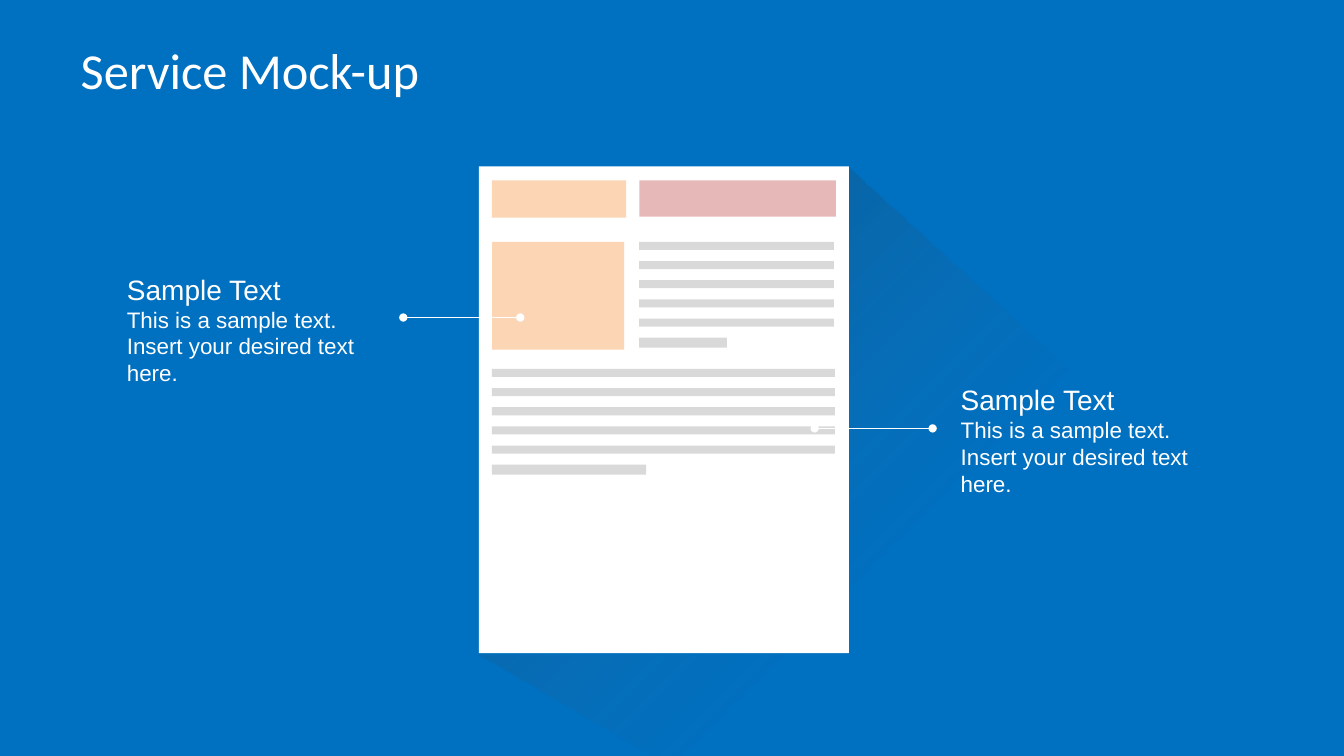
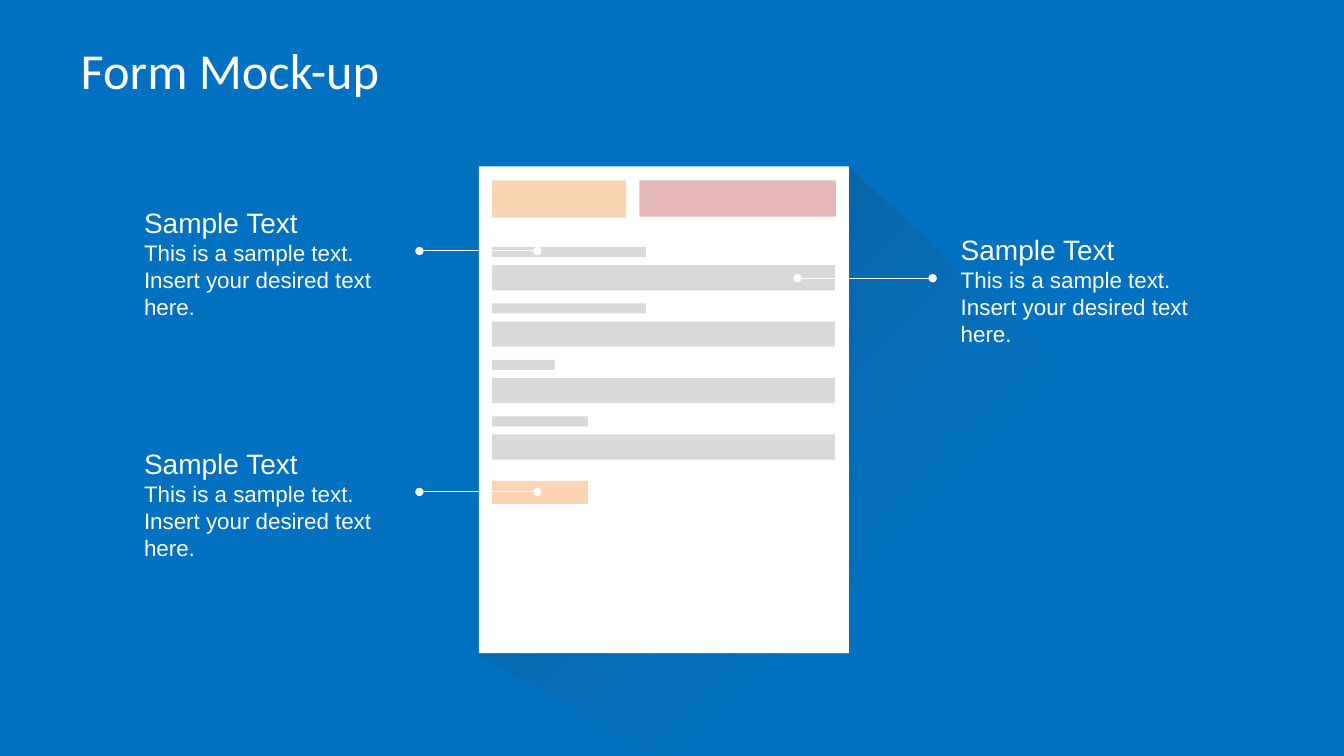
from pptx import Presentation
from pptx import util as u
from pptx.dml.color import RGBColor
from pptx.enum import shapes, text
from pptx.oxml import parse_xml
from pptx.oxml.ns import nsdecls, qn

inch = u.Inches
HUES = {"back": "0070C0", "white": "FFFFFF", "peach": "FCD5B5",
        "pink": "E6B9B8", "grey": "D9D9D9", "dark": "000000", "fade": "6B6B6B"}
SHADE = f"""<a:gradFill {nsdecls('a')} rotWithShape="1"><a:gsLst>
<a:gs pos="0"><a:srgbClr val="{HUES['dark']}"><a:alpha val="30000"/></a:srgbClr></a:gs>
<a:gs pos="59000"><a:srgbClr val="{HUES['fade']}"><a:alpha val="0"/></a:srgbClr></a:gs>
</a:gsLst><a:lin ang="2700000" scaled="0"/></a:gradFill>"""
LEFT, MID, TOP, LOW = 4.88, 6.34, 1.65, 6.48
WIDE = 3.4
WORDS = ["Sample Text", "This is a sample text.", "Insert your desired text here."]


def bar(slide, hue, x, y, w, h):
    box = slide.shapes.add_shape(shapes.MSO_SHAPE.RECTANGLE, inch(x), inch(y), inch(w), inch(h))
    box.shadow.inherit = False
    box.fill.solid()
    box.fill.fore_color.rgb = RGBColor.from_string(HUES[hue])
    box.line.fill.background()


def style(para, face, size):
    para.alignment = text.PP_ALIGN.LEFT
    for run in para.runs:
        run.font.name = face
        run.font.size = u.Pt(size)
        run.font.color.rgb = RGBColor.from_string(HUES["white"])


story = [("peach", LEFT, 2.4, 1.31, 1.07)]
for x, y, full, last in [(LEFT, 3.66, WIDE, 1.53), (MID, 2.4, 1.93, 0.87)]:
    for i in range(6):
        w, h = (full, 0.08) if i < 5 else (last, 0.1)
        story.append(("grey", x, y + 0.19 * i, w, h))

form = [("peach", LEFT, 4.77, 0.95, 0.23)]
for i, w in enumerate([1.53, 1.53, 0.62, 0.95]):
    y = 2.45 + 0.56 * i
    form += [("grey", LEFT, y, w, 0.1), ("grey", LEFT, y + 0.18, WIDE, 0.25)]

pages = [
    ("Service Mock-up", story, [(1.16, 2.65, 5.16, 4), (9.43, 3.75, 9.25, 8.08)]),
    ("Form Mock-up", form, [(1.33, 4.38, 5.33, 4.16), (9.43, 2.26, 9.25, 7.91),
                            (1.33, 1.99, 5.33, 4.16)]),
]

prs = Presentation()
prs.slide_width, prs.slide_height = inch(13.33), inch(7.5)
ground = prs.slide_master.background.fill
ground.solid()
ground.fore_color.rgb = RGBColor.from_string(HUES["back"])

for name, bars, notes in pages:
    slide = prs.slides.add_slide(prs.slide_layouts[5])
    title = slide.shapes.title
    title.left, title.top, title.width, title.height = map(inch, (0.67, 0.3, 12, 0.78))
    frame = title.text_frame
    frame.text = name
    frame.vertical_anchor = text.MSO_ANCHOR.MIDDLE
    frame.margin_left = frame.margin_right = inch(0.13)
    frame.margin_top = frame.margin_bottom = inch(0.07)
    style(frame.paragraphs[0], "Calibri", 36)

    path = slide.shapes.build_freeform(inch(4.75), inch(LOW))
    path.add_line_segments([(inch(x), inch(y)) for x, y in [
        (6.97, 7.78), (11.05, 7.64), (12.02, 4.95), (8.41, TOP), (8.41, LOW)]])
    shade = path.convert_to_shape()
    shade.shadow.inherit = False
    shade.line.fill.background()
    shade.fill.background()
    props = shade._element.spPr
    props.replace(props.find(qn("a:noFill")), parse_xml(SHADE))

    bar(slide, "white", 4.75, TOP, 3.67, LOW - TOP)
    bar(slide, "peach", LEFT, 1.79, 1.33, 0.37)
    bar(slide, "pink", MID, 1.79, 1.95, 0.36)
    for item in bars:
        bar(slide, *item)

    for x, y, start, end in notes:
        note = slide.shapes.add_textbox(inch(x), inch(y), inch(2.71), inch(1.25))
        frame = note.text_frame
        frame.word_wrap = True
        frame.auto_size = text.MSO_AUTO_SIZE.SHAPE_TO_FIT_TEXT
        frame.text = "\n".join(WORDS)
        for para, size in zip(frame.paragraphs, (20, 16, 16)):
            style(para, "Arial", size)

        level = inch(y + 0.5)
        line = slide.shapes.add_connector(
            shapes.MSO_CONNECTOR.STRAIGHT, inch(start), level, inch(end), level)
        line.line.color.rgb = RGBColor.from_string(HUES["white"])
        line.line.width = u.Pt(0.75)
        edge = line.line._get_or_add_ln()
        for tag in ("headEnd", "tailEnd"):
            edge.append(parse_xml(f'<a:{tag} {nsdecls("a")} type="oval"/>'))
        line._element.spPr.append(parse_xml(f'<a:effectLst {nsdecls("a")}/>'))

prs.save("out.pptx")
